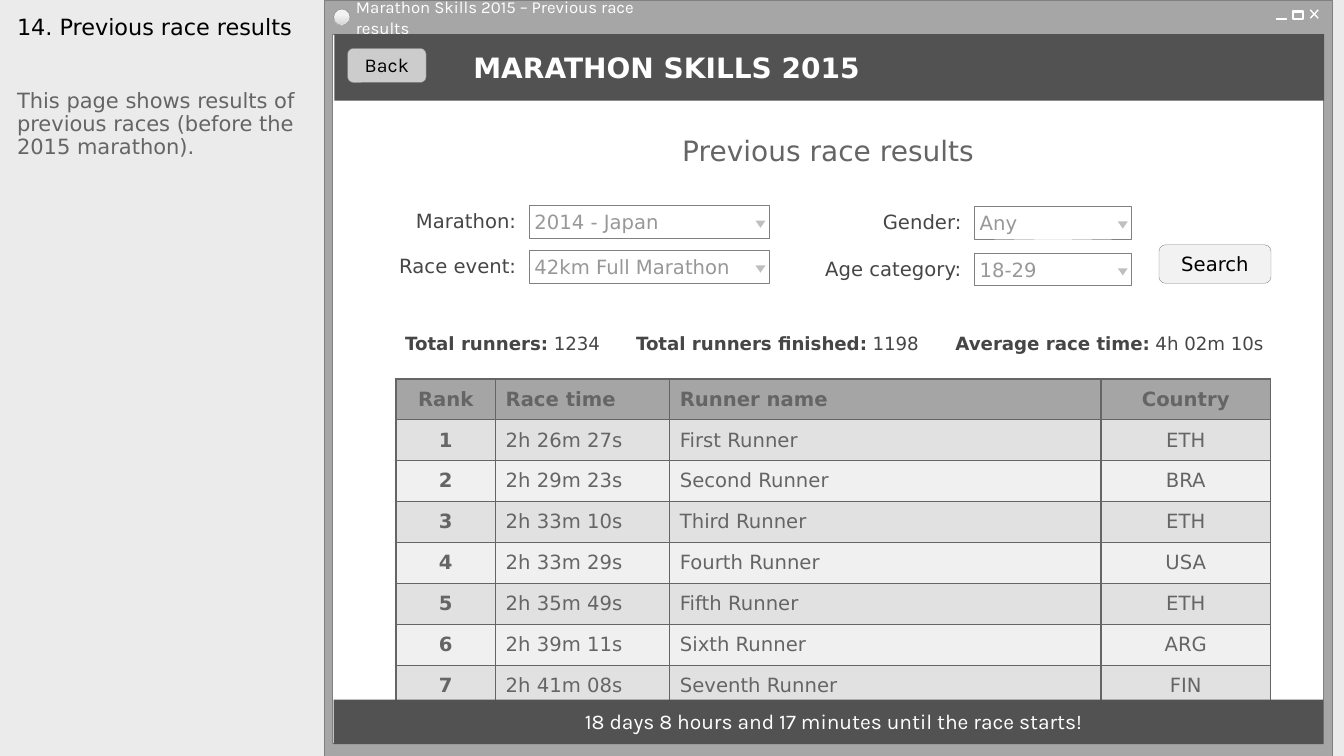
"""Build the previous race results screen of a marathon application."""
from copy import deepcopy
from dataclasses import dataclass

from lxml.etree import SubElement
from pptx import Presentation
from pptx.dml.color import RGBColor
from pptx.enum.shapes import MSO_CONNECTOR as Connector, MSO_SHAPE as Preset
from pptx.enum.text import MSO_ANCHOR as Anchor, PP_ALIGN as Align
from pptx.oxml.ns import qn
from pptx.util import Cm, Pt


@dataclass(frozen=True)
class Theme:
    backdrop: str = "EBEBEB"
    frame: str = "A6A6A6"
    outline: str = "808080"
    white: str = "FFFFFF"
    black: str = "000000"
    bar: str = "525252"
    body: str = "656565"
    label: str = "464646"
    choice: str = "989898"
    arrow: str = "BFBFBF"
    control: str = "919191"
    back: str = "CCCCCC"
    search: str = "F2F2F2"
    icon_dark: str = "D9D9D9"
    header: str = "A5A5A5"
    odd: str = "E1E1E1"
    even: str = "F0F0F0"
    sans: str = "DejaVu Sans"
    karla: str = "Karla"
    tiny: int = 12
    small: int = 13
    normal: int = 14
    medium: int = 15
    title: int = 16
    large: int = 20


THEME = Theme()
CAPTION_INSETS = (0.25, 0.05, 0.25, 0.08)
BUTTON_INSETS = (0.25, 0, 0.25, 0.03)
CHOICE_INSETS = (0.13, 0.13, 0.13, 0.13)
NO_INSETS = (0, 0, 0, 0)
FIELDS = [
    ("Marathon:", "2014 - Japan", 9.07, 5.18, 6.05),
    ("Race event:", "42km Full Marathon", 9.07, 6.31, 6.05),
    ("Gender:", "Any", 20.29, 5.2, 3.96),
    ("Age category:", "18-29", 20.29, 6.38, 3.96),
]
TOTALS = [
    ("Total runners:", "1234"),
    ("Total runners finished:", "1198"),
    ("Average race time:", "4h 02m 10s"),
]
TOTAL_STOPS = (5.82, 13.87)
COLUMN_WIDTHS = (2.51, 4.39, 10.87, 4.27)
ROW_HEIGHT = 1.03
RESULTS = [
    ("Rank", "Race time", "Runner name", "Country"),
    ("1", "2h 26m 27s", "First Runner", "ETH"),
    ("2", "2h 29m 23s", "Second Runner", "BRA"),
    ("3", "2h 33m 10s", "Third Runner", "ETH"),
    ("4", "2h 33m 29s", "Fourth Runner", "USA"),
    ("5", "2h 35m 49s", "Fifth Runner", "ETH"),
    ("6", "2h 39m 11s", "Sixth Runner", "ARG"),
    ("7", "2h 41m 08s", "Seventh Runner", "FIN"),
]


def rgb(colour):
    return RGBColor.from_string(colour)


def style_span(span, size, colour, font=THEME.sans, bold=False):
    span.font.size = Pt(size)
    span.font.name = font
    span.font.bold = bold
    span.font.color.rgb = rgb(colour)


def write(frame, text, size, colour, font=THEME.sans, bold=False,
          align=Align.LEFT, anchor=Anchor.MIDDLE, insets=CAPTION_INSETS):
    frame.word_wrap = True
    frame.vertical_anchor = anchor
    frame.margin_left, frame.margin_top, frame.margin_right, frame.margin_bottom = map(Cm, insets)
    frame.text = text
    para = frame.paragraphs[0]
    para.alignment = align
    for span in para.runs:
        style_span(span, size, colour, font, bold)
    return para


def add_text(page, area, text, size, colour, **style):
    box = page.shapes.add_textbox(*map(Cm, area))
    return write(box.text_frame, text, size, colour, **style)


def add_block(page, area, fill=None, line=None, weight=0.25, preset=Preset.RECTANGLE):
    shape = page.shapes.add_shape(preset, *map(Cm, area))
    shape.shadow.inherit = False
    if fill:
        shape.fill.solid()
        shape.fill.fore_color.rgb = rgb(fill)
    else:
        shape.fill.background()
    if line:
        shape.line.color.rgb = rgb(line)
        shape.line.width = Pt(weight)
    else:
        shape.line.fill.background()
    return shape


def add_button(page, area, text, fill, font):
    button = add_block(page, area, fill, THEME.outline, preset=Preset.ROUNDED_RECTANGLE)
    write(button.text_frame, text, THEME.normal, THEME.black, font=font,
          align=Align.CENTER, insets=BUTTON_INSETS)


def add_stroke(page, start, end):
    stroke = page.shapes.add_connector(Connector.STRAIGHT, *map(Cm, start + end))
    stroke.line.color.rgb = rgb(THEME.white)
    stroke.line.width = Pt(1)
    SubElement(stroke._element.spPr, qn("a:effectLst"))


def add_window_icon(page):
    icon = add_block(page, (8.41, 0.23, 0.41, 0.41), line=THEME.outline, preset=Preset.OVAL)
    icon.fill.gradient()
    icon.fill.gradient_angle = 270
    stop_list = icon._element.spPr.find(qn("a:gradFill")).find(qn("a:gsLst"))
    stop_list.append(deepcopy(stop_list[-1]))
    stops = ((0.36, THEME.search), (0.91, THEME.icon_dark), (1, THEME.search))
    for stop, (position, colour) in zip(icon.fill.gradient_stops, stops):
        stop.position = position
        stop.color.rgb = rgb(colour)


def add_window(page):
    add_block(page, (8.18, 0, 25.4, 19.05), THEME.frame, THEME.outline)
    add_block(page, (8.38, 0.86, 24.97, 17.88), THEME.white, THEME.outline)
    add_text(page, (8.84, 0.13, 8.59, 0.64), "Marathon Skills 2015 – Previous race results",
             THEME.tiny, THEME.white, font=THEME.karla, insets=(0.13, 0.05, 0.25, 0.08))
    add_stroke(page, (33.02, 0.25), (33.22, 0.46))
    add_stroke(page, (33.22, 0.25), (33.02, 0.46))
    for left, top in ((32.59, 0.28), (32.16, 0.46)):
        add_block(page, (left, top, 0.25, 0.03), THEME.control, THEME.white)
    add_block(page, (32.59, 0.28, 0.25, 0.2), line=THEME.white, weight=1)
    add_window_icon(page)


def add_field(page, label, choice, left, top, width):
    select_left = left + 4.27
    select = add_block(page, (select_left, top, width, 0.82), THEME.white, THEME.outline)
    write(select.text_frame, choice, THEME.normal, THEME.choice, insets=CHOICE_INSETS)
    arrow = add_block(page, (select_left + width - 0.35, top + 0.38, 0.25, 0.18),
                      THEME.arrow, preset=Preset.ISOSCELES_TRIANGLE)
    arrow.rotation = 180
    add_text(page, (left, top + 0.08, 3.94, 0.61), label, THEME.normal, THEME.label,
             align=Align.RIGHT, insets=NO_INSETS)


def add_totals(page):
    para = add_text(page, (10.21, 8.36, 22.8, 0.56), "", THEME.small, THEME.label,
                    insets=NO_INSETS)
    tabs = SubElement(para._p.get_or_add_pPr(), qn("a:tabLst"))
    for stop in TOTAL_STOPS:
        SubElement(tabs, qn("a:tab"), pos=str(Cm(stop)), algn="l")
    for index, (name, value) in enumerate(TOTALS):
        ending = "\t" if index < len(TOTALS) - 1 else ""
        for text, bold in ((name, True), (f" {value}{ending}", False)):
            span = para.add_run()
            span.text = text
            style_span(span, THEME.small, THEME.label, bold=bold)


def add_borders(cell):
    properties = cell._tc.get_or_add_tcPr()
    for index, side in enumerate(("lnL", "lnR", "lnT", "lnB")):
        border = SubElement(properties, qn(f"a:{side}"), w=str(Pt(1)))
        SubElement(SubElement(border, qn("a:solidFill")), qn("a:srgbClr"), val=THEME.body)
        properties.insert(index, border)


def add_results(page):
    area = (9.98, 9.55, sum(COLUMN_WIDTHS), ROW_HEIGHT * len(RESULTS))
    table = page.shapes.add_table(len(RESULTS), len(COLUMN_WIDTHS), *map(Cm, area)).table
    for column, width in zip(table.columns, COLUMN_WIDTHS):
        column.width = Cm(width)
    for row, values in enumerate(RESULTS):
        table.rows[row].height = Cm(ROW_HEIGHT)
        fill = THEME.header if row == 0 else THEME.odd if row % 2 else THEME.even
        for column, value in enumerate(values):
            cell = table.cell(row, column)
            cell.fill.solid()
            cell.fill.fore_color.rgb = rgb(fill)
            cell.vertical_anchor = Anchor.MIDDLE
            cell.text = value
            para = cell.text_frame.paragraphs[0]
            para.alignment = Align.CENTER if column in (0, 3) else Align.LEFT
            style_span(para.runs[0], THEME.normal, THEME.body, bold=row == 0 or column == 0)
            add_borders(cell)


def add_notes_panel(page):
    panel = [
        (0.28, 1.85, "14. Previous race results", THEME.title, THEME.black),
        (2.16, 16.43, "This page shows results of previous races (before the 2015 marathon).",
         THEME.medium, THEME.body),
    ]
    for top, height, text, size, colour in panel:
        para = add_text(page, (0.18, top, 7.65, height), text, size, colour,
                        anchor=Anchor.TOP, insets=(0.25, 0.13, 0.25, 0.13))
        para.line_spacing = 0.9


def main():
    deck = Presentation()
    deck.slide_width, deck.slide_height = Cm(33.87), Cm(19.05)
    page = deck.slides.add_slide(deck.slide_layouts[6])
    page.background.fill.solid()
    page.background.fill.fore_color.rgb = rgb(THEME.backdrop)
    add_window(page)
    add_block(page, (8.43, 0.86, 24.94, 1.68), THEME.bar)
    add_notes_panel(page)
    add_button(page, (8.76, 1.22, 1.98, 0.86), "Back", THEME.back, THEME.karla)
    add_text(page, (11.56, 3.3, 18.62, 0.99), "Previous race results", THEME.large, THEME.body,
             align=Align.CENTER)
    add_text(page, (11.68, 1.22, 10.82, 0.99), "MARATHON SKILLS 2015", THEME.large, THEME.white,
             bold=True)
    add_button(page, (29.21, 6.17, 2.82, 0.97), "Search", THEME.search, THEME.sans)
    for field in FIELDS:
        add_field(page, *field)
    add_totals(page)
    add_results(page)
    add_block(page, (8.41, 17.63, 24.94, 1.12), THEME.bar)
    add_text(page, (11, 17.81, 20.02, 0.76), "18 days 8 hours and 17 minutes until the race starts!",
             THEME.medium, THEME.white, font=THEME.karla, align=Align.CENTER)
    deck.save("out.pptx")


if __name__ == "__main__":
    main()
